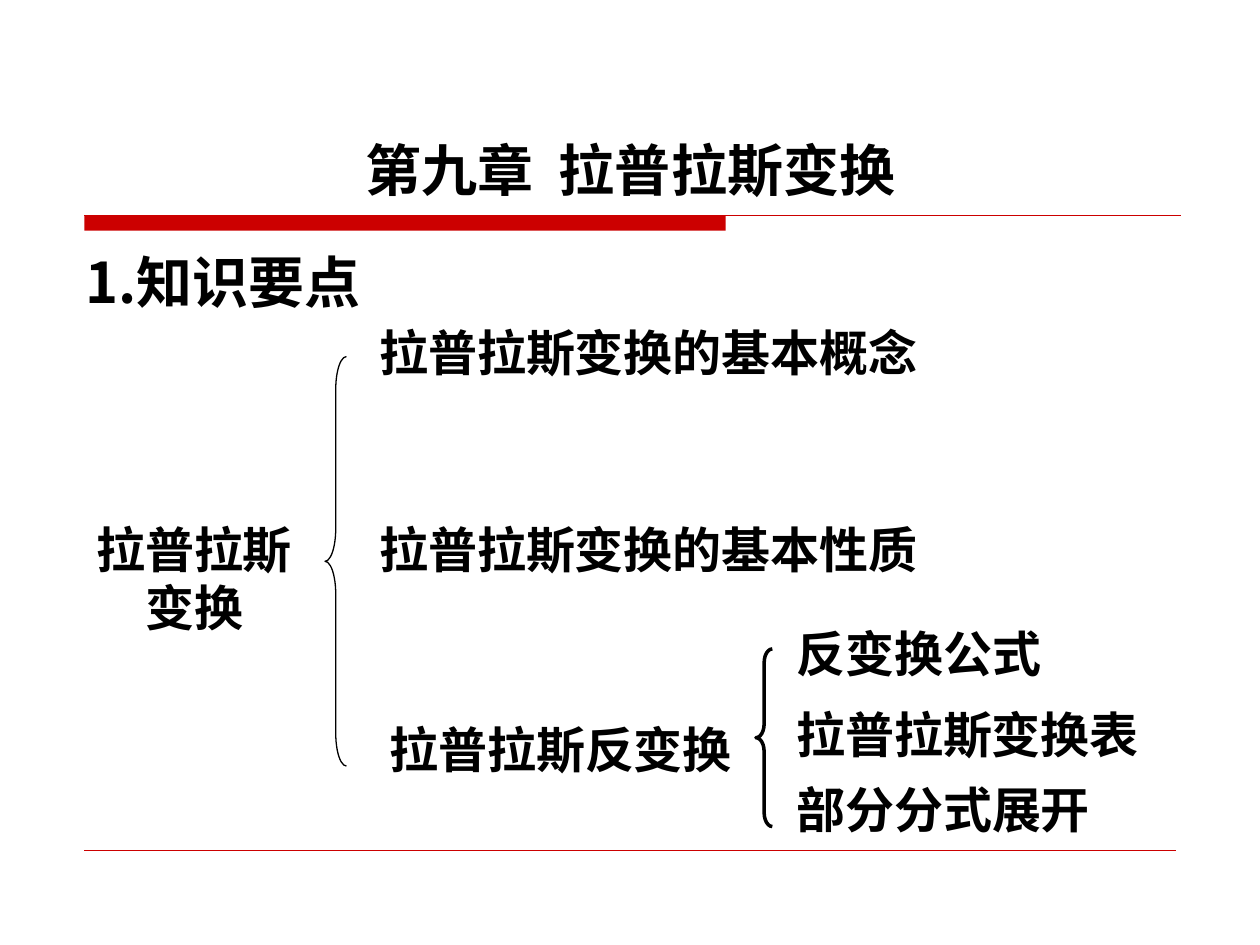
"""Build the chapter outline slide on the Laplace transform."""
from lxml import etree
from pptx import Presentation
from pptx.dml.color import RGBColor
from pptx.enum import shapes, text
from pptx.oxml import ns
from pptx.util import Inches, Pt

BLACK = RGBColor(0x00, 0x00, 0x00)
RED = RGBColor(0xCC, 0x00, 0x00)
FONT = "Noto Sans CJK SC"


class Outline:
    def __init__(self, page):
        self.page = page

    def fill_frame(self, frame, words, size, align, anchor):
        frame.word_wrap = True
        frame.auto_size = text.MSO_AUTO_SIZE.NONE
        frame.vertical_anchor = anchor
        para = frame.paragraphs[0]
        para.text = words
        para.alignment = align
        font = para.font
        font.name, font.size, font.bold = FONT, Pt(size), True
        font.color.rgb = BLACK
        defaults = para._p.pPr.find(ns.qn("a:defRPr"))
        latin = defaults.find(ns.qn("a:latin"))
        east_asian = etree.Element(ns.qn("a:ea"), typeface=FONT)
        latin.addnext(east_asian)

    def title(self, words, left, top, width, height):
        title = self.page.shapes.title
        title.left, title.top = Inches(left), Inches(top)
        title.width, title.height = Inches(width), Inches(height)
        self.fill_frame(title.text_frame, words, 32,
                        text.PP_ALIGN.CENTER, text.MSO_ANCHOR.BOTTOM)

    def label(self, words, left, top, width, height=0.56, size=28,
              align=text.PP_ALIGN.LEFT, anchor=text.MSO_ANCHOR.TOP,
              inset=(0.09, 0.04)):
        box = self.page.shapes.add_textbox(
            Inches(left), Inches(top), Inches(width), Inches(height))
        frame = box.text_frame
        frame.margin_left = frame.margin_right = Inches(inset[0])
        frame.margin_top = frame.margin_bottom = Inches(inset[1])
        self.fill_frame(frame, words, size, align, anchor)

    def bar(self, left, top, width, height):
        bar = self.page.shapes.add_shape(
            shapes.MSO_SHAPE.RECTANGLE,
            Inches(left), Inches(top), Inches(width), Inches(height))
        bar.shadow.inherit = False
        bar.fill.solid()
        bar.fill.fore_color.rgb = RED
        bar.line.fill.background()

    def rule(self, left, right, y, weight):
        rule = self.page.shapes.add_connector(
            shapes.MSO_CONNECTOR.STRAIGHT,
            Inches(left), Inches(y), Inches(right), Inches(y))
        rule.line.color.rgb = RED
        rule.line.width = Pt(weight)
        etree.SubElement(rule._element.spPr, ns.qn("a:effectLst"))

    def brace(self, left, top, width, height, curve, weight):
        brace = self.page.shapes.add_shape(
            shapes.MSO_SHAPE.LEFT_BRACE,
            Inches(left), Inches(top), Inches(width), Inches(height))
        brace.shadow.inherit = False
        brace.adjustments[0] = curve / width
        brace.fill.background()
        brace.line.color.rgb = BLACK
        brace.line.width = Pt(weight)


def main():
    deck = Presentation()
    deck.slide_width, deck.slide_height = Inches(10), Inches(7.5)
    outline = Outline(deck.slides.add_slide(deck.slide_layouts[5]))

    outline.bar(0.67, 1.71, 5.09, 0.12)
    outline.rule(0.67, 9.37, 1.71, 0.75)
    outline.rule(0.67, 9.33, 6.75, 0.25)
    outline.title("第九章  拉普拉斯变换", 0.63, 0.33, 8.75, 1.33)
    outline.label("1.知识要点", 0.58, 1.65, 2.5, 1.17, size=32,
                  anchor=text.MSO_ANCHOR.MIDDLE, inset=(0.1, 0.05))

    outline.label("拉普拉斯变换", 0.58, 4.08, 1.92, 1.02,
                  align=text.PP_ALIGN.CENTER)
    outline.brace(2.58, 2.83, 0.17, 3.25, 0.26, 0.75)
    outline.label("拉普拉斯变换的基本概念", 2.92, 2.52, 5.42)
    outline.label("拉普拉斯变换的基本性质", 2.92, 4.08, 5.08)
    outline.label("拉普拉斯反变换", 3, 5.67, 3)

    outline.brace(6, 5.15, 0.13, 1.41, 0.11, 2)
    outline.label("反变换公式", 6.23, 4.91, 2.91)
    outline.label("拉普拉斯变换表", 6.23, 5.55, 3.27)
    outline.label("部分分式展开", 6.23, 6.15, 2.58, 0.44)

    deck.save("out.pptx")


if __name__ == "__main__":
    main()
